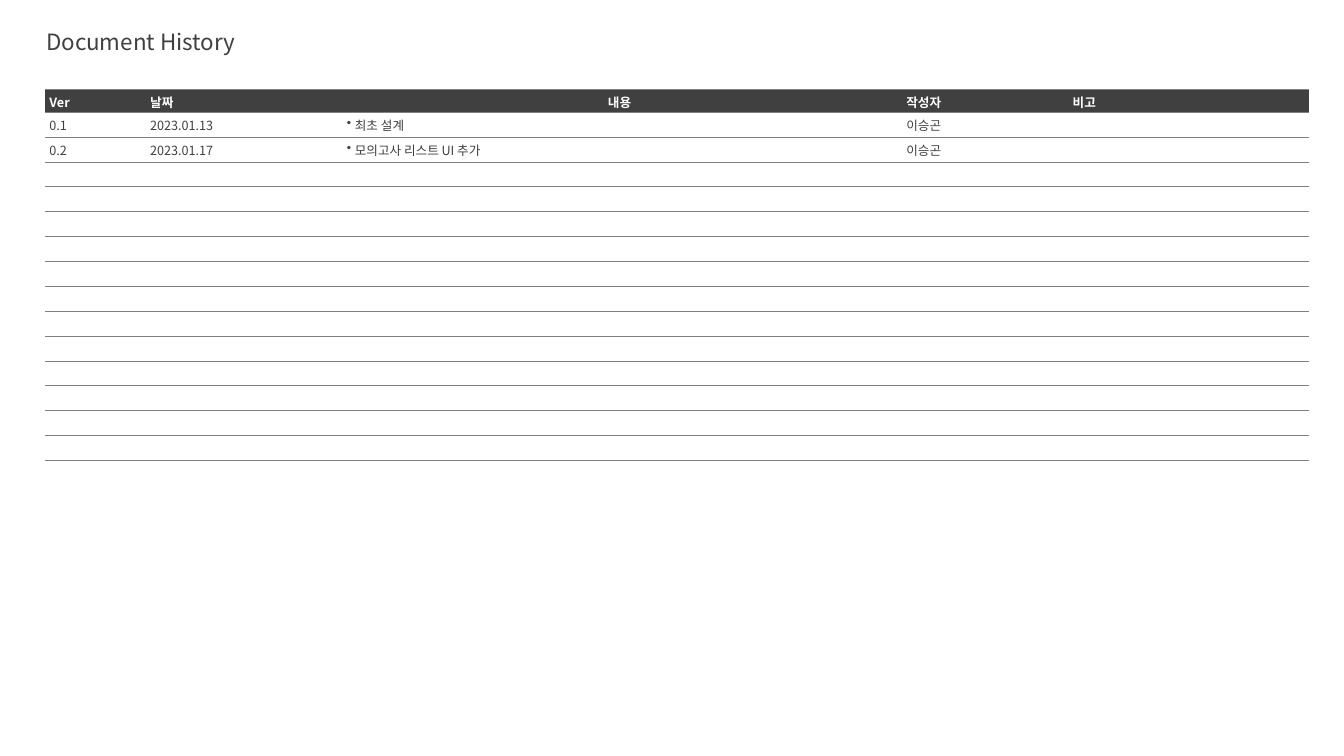
from lxml import etree
from pptx import Presentation
from pptx.dml.color import RGBColor
from pptx.enum.text import MSO_ANCHOR as Anchor, PP_ALIGN as Align
from pptx.oxml.ns import qn
from pptx.util import Inches, Pt

FONT = "Noto Sans CJK KR"
DARK = RGBColor(0x40, 0x40, 0x40)
GRAY = RGBColor(0x80, 0x80, 0x80)
WHITE = RGBColor(0xFF, 0xFF, 0xFF)

COLUMN_WIDTHS = [0.78, 0.22, 1.95, 5.55, 1.65, 2.38]
HEADER_HEIGHT = 0.23
ROW_HEIGHT = 0.247
ROW_COUNT = 15
CONTENT_COLUMN = 3
ENTRIES = [
    ["Ver", "", "날짜", "내용", "작성자", "비고"],
    ["0.1", "", "2023.01.13", "최초 설계", "이승곤", ""],
    ["0.2", "", "2023.01.17", "모의고사 리스트 UI 추가", "이승곤", ""],
]


def style_span(span, size, color, bold=False):
    span.font.name = FONT
    span.font.size = Pt(size)
    span.font.bold = bold
    span.font.color.rgb = color
    east_asian = etree.SubElement(span.font._element, qn("a:ea"))
    east_asian.set("typeface", FONT)


def add_borders(cell):
    properties = cell._tc.get_or_add_tcPr()
    for side in ("L", "R", "T", "B"):
        line = etree.SubElement(properties, qn(f"a:ln{side}"), w=str(Pt(0.25)))
        if side in "LR":
            etree.SubElement(line, qn("a:noFill"))
        else:
            fill = etree.SubElement(line, qn("a:solidFill"))
            etree.SubElement(fill, qn("a:srgbClr"), val=str(GRAY))


deck = Presentation()
deck.slide_width = Inches(13.33)
deck.slide_height = Inches(7.5)
page = deck.slides.add_slide(deck.slide_layouts[6])

title = page.shapes.add_textbox(Inches(0.36), Inches(0.26), Inches(4.93), Inches(0.39))
title.text_frame.word_wrap = True
title.text_frame.text = "Document History"
title_para = title.text_frame.paragraphs[0]
title_para.line_spacing = 0.9
style_span(title_para.runs[0], 16, DARK)

table_height = HEADER_HEIGHT + ROW_HEIGHT * (ROW_COUNT - 1)
history = page.shapes.add_table(
    ROW_COUNT, len(COLUMN_WIDTHS),
    Inches(0.45), Inches(0.88), Inches(sum(COLUMN_WIDTHS)), Inches(table_height),
).table
history.first_row = False
history.horz_banding = False
for column, width in zip(history.columns, COLUMN_WIDTHS):
    column.width = Inches(width)

for row_index, row in enumerate(history.rows):
    is_header = row_index == 0
    row.height = Inches(HEADER_HEIGHT if is_header else ROW_HEIGHT)
    for column_index, cell in enumerate(row.cells):
        add_borders(cell)
        if is_header:
            cell.fill.solid()
            cell.fill.fore_color.rgb = DARK
        else:
            cell.fill.background()
        cell.vertical_anchor = Anchor.MIDDLE
        cell.margin_left = cell.margin_top = cell.margin_bottom = Inches(0.04)
        cell.margin_right = Inches(0.1)

        para = cell.text_frame.paragraphs[0]
        text = ENTRIES[row_index][column_index] if row_index < len(ENTRIES) else ""
        if not text:
            etree.SubElement(para._p, qn("a:endParaRPr"), sz="900")
            continue
        para.text = text
        if column_index == CONTENT_COLUMN:
            if is_header:
                para.alignment = Align.CENTER
            else:
                indent = Inches(0.08)
                settings = para._p.get_or_add_pPr()
                settings.set("marL", str(indent))
                settings.set("indent", str(-indent))
                etree.SubElement(settings, qn("a:buChar"), char="•")
        style_span(para.runs[0], 9, WHITE if is_header else DARK, is_header)

history.cell(0, 0).merge(history.cell(0, 1))

deck.save("out.pptx")
